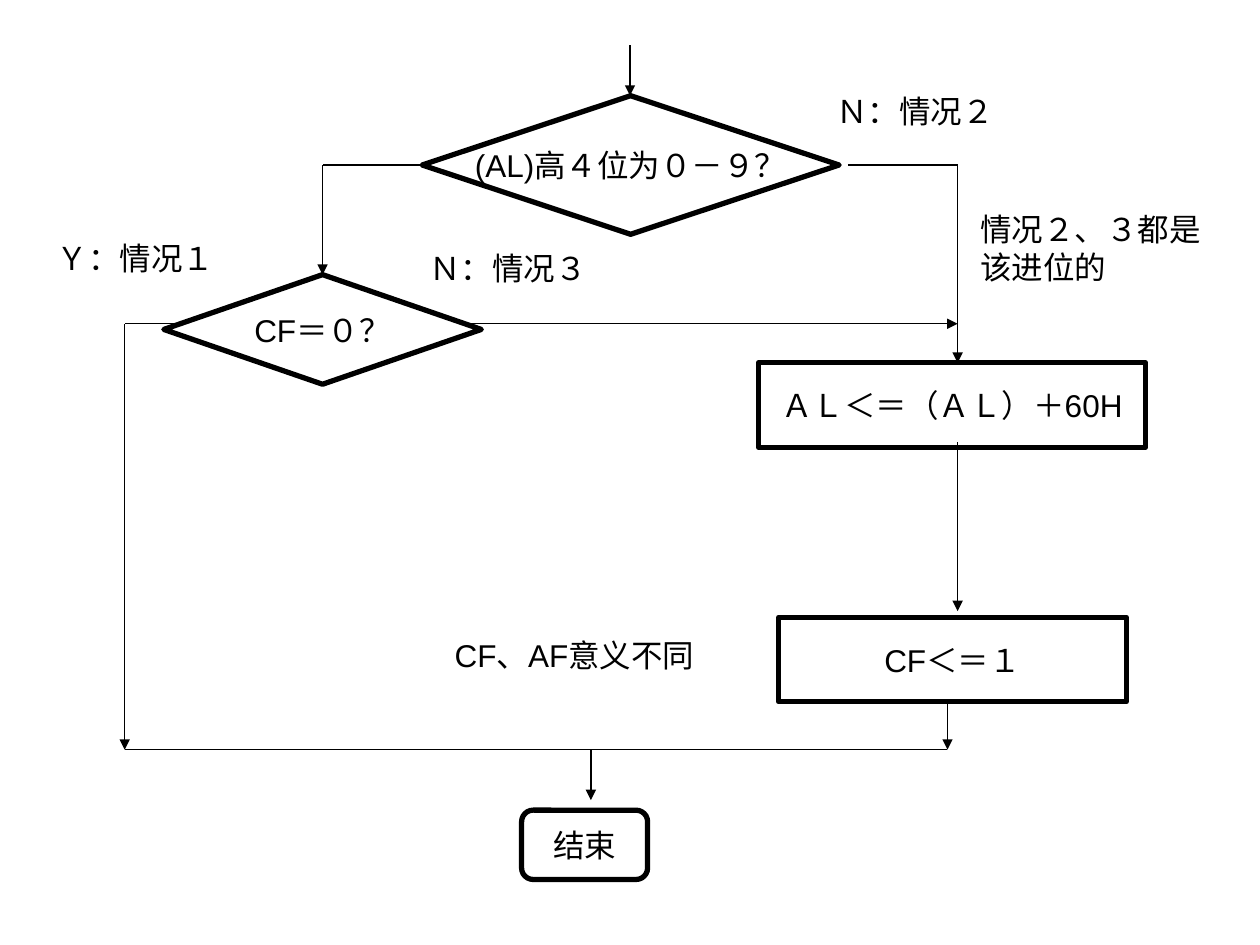
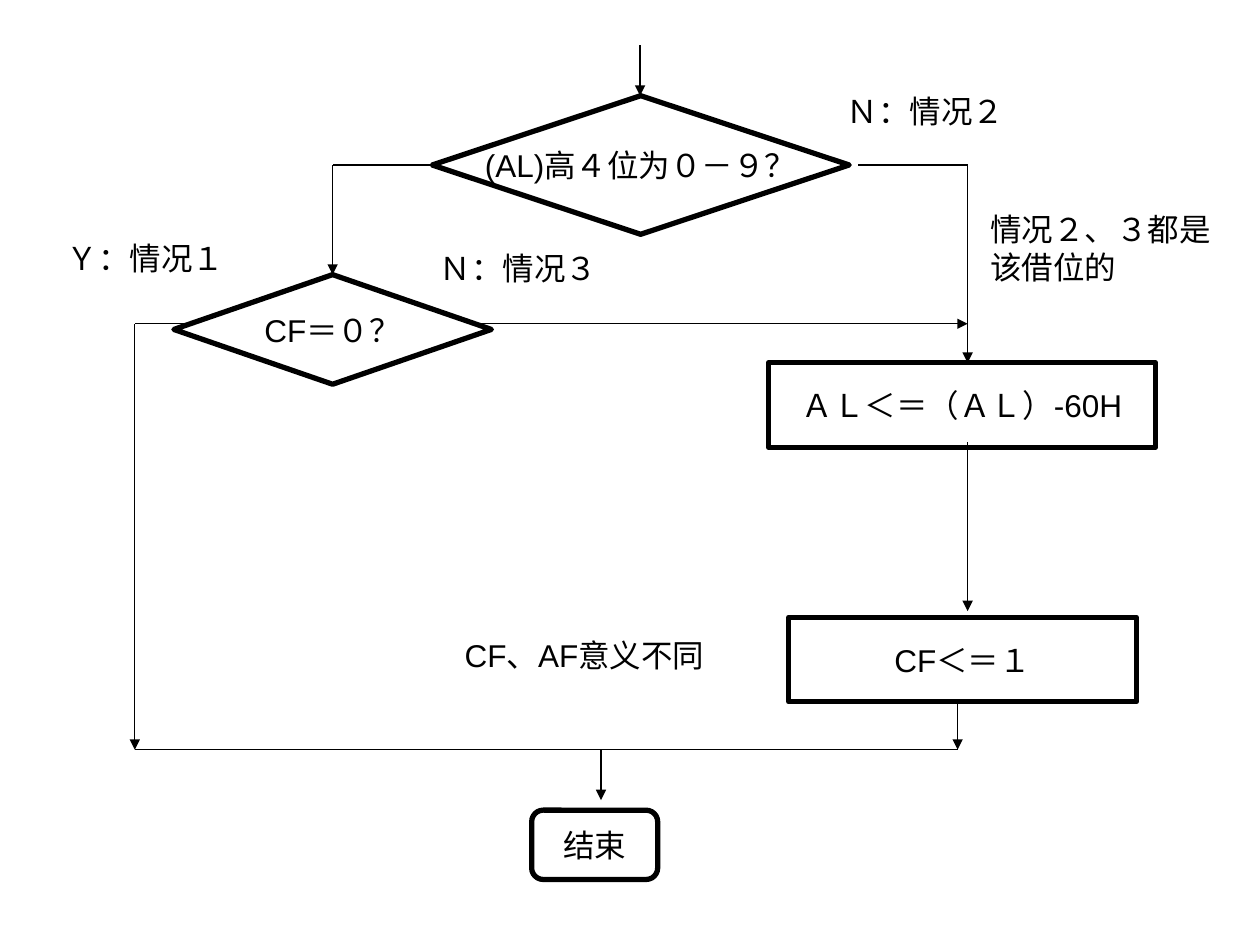
"""Builds two flowcharts of the decimal adjustment of the high digit: addition and subtraction."""
from lxml import etree
from pptx import Presentation
from pptx import util as u
from pptx.dml.color import RGBColor
from pptx.enum import shapes, text
from pptx.oxml import ns

BLACK = RGBColor(0, 0, 0)
WHITE = RGBColor(255, 255, 255)
DECISION = shapes.MSO_SHAPE.FLOWCHART_DECISION
PROCESS = shapes.MSO_SHAPE.FLOWCHART_PROCESS
TERMINAL = shapes.MSO_SHAPE.FLOWCHART_ALTERNATE_PROCESS


class Flowchart:
    """Holds the style, the current slide and its horizontal shift."""

    font = "Arial"
    size = u.Pt(18)
    thick = u.Pt(3)
    thin = u.Pt(0.75)

    def __init__(self, deck):
        self.deck = deck

    def start(self, shift):
        """Opens a blank slide whose elements move right by shift inches."""
        self.page = self.deck.slides.add_slide(self.deck.slide_layouts[6])
        self.page.background.fill.solid()
        self.page.background.fill.fore_color.rgb = WHITE
        self.shift = shift

    def place(self, left, top, width, height):
        """Returns the shifted frame as lengths."""
        return [u.Inches(n) for n in (left + self.shift, top, width, height)]

    def add_words(self, box, lines, align, wrap=False):
        """Puts one paragraph per line into the box."""
        frame = box.text_frame
        frame.word_wrap = wrap
        for index, line in enumerate(lines):
            para = frame.add_paragraph() if index else frame.paragraphs[0]
            para.alignment = align
            span = para.add_run()
            span.text = line
            span.font.name = self.font
            span.font.size = self.size
            span.font.color.rgb = BLACK

    def node(self, kind, left, top, width, height, words):
        """Draws an outlined step with centred text."""
        box = self.page.shapes.add_shape(kind, *self.place(left, top, width, height))
        box.shadow.inherit = False
        box.fill.background()
        box.line.color.rgb = BLACK
        box.line.width = self.thick
        box.text_frame.vertical_anchor = text.MSO_ANCHOR.MIDDLE
        self.add_words(box, [words], text.PP_ALIGN.CENTER)

    def label(self, left, top, width, *lines, wrap=False):
        """Adds a free note beside the chart."""
        height = 0.1 + 0.3 * len(lines)
        box = self.page.shapes.add_textbox(*self.place(left, top, width, height))
        box.text_frame.auto_size = text.MSO_AUTO_SIZE.SHAPE_TO_FIT_TEXT
        self.add_words(box, lines, text.PP_ALIGN.LEFT, wrap)

    def line(self, start, end, arrow=False):
        """Draws one straight segment, with an arrowhead at its end if asked."""
        (x1, y1), (x2, y2) = start, end
        link = self.page.shapes.add_connector(
            shapes.MSO_CONNECTOR.STRAIGHT,
            u.Inches(x1 + self.shift), u.Inches(y1),
            u.Inches(x2 + self.shift), u.Inches(y2))
        link.line.color.rgb = BLACK
        link.line.width = self.thin
        properties = link.element.spPr
        if arrow:
            outline = properties.find(ns.qn("a:ln"))
            etree.SubElement(outline, ns.qn("a:tailEnd"), type="triangle")
        etree.SubElement(properties, ns.qn("a:effectLst"))

    def route(self, *points):
        """Joins the points and ends in an arrowhead."""
        for start, end in zip(points, points[1:]):
            self.line(start, end, arrow=end == points[-1])


def draw(chart, shift, operation, outcome):
    """Draws the whole adjustment chart on a new slide."""
    chart.start(shift)
    left, right, case, exit_x, middle = 0.99, 7.6, 2.56, 7.52, 4.69
    test, carry, join = 1.31, 2.57, 5.95

    chart.node(TERMINAL, 4.14, 6.43, 1, 0.55, "结束")
    chart.label(0.35, 1.85, 1.45, "Ｙ：情况１")
    chart.label(6.54, 0.68, 1.45, "Ｎ：情况２")
    chart.label(7.68, 1.62, 1.95, "情况２、３都是", outcome)
    chart.label(3.31, 1.93, 1.45, "Ｎ：情况３")

    chart.route((5, 0.36), (5, 0.76))
    chart.node(DECISION, 3.35, 0.76, 3.31, 1.1, "(AL)高４位为０－９？")
    chart.route((3.35, test), (case, test), (case, 2.18))
    chart.node(DECISION, 1.3, 2.18, 2.52, 0.87, "CF＝０？")
    chart.route((6.73, test), (right, test), (right, 2.88))
    chart.route((3.74, carry), (right, carry))
    chart.node(PROCESS, 6.02, 2.88, 3.07, 0.67, operation)
    chart.route((right, 3.51), (right, 4.85))
    chart.node(PROCESS, 6.18, 4.9, 2.76, 0.67, "CF＜＝１")
    chart.route((1.38, carry), (left, carry), (left, join))
    chart.route((exit_x, 5.56), (exit_x, join))
    chart.line((exit_x, join), (left, join))
    chart.route((middle, join), (middle, 6.35))
    chart.label(3.51, 5, 2.1, "CF、AF意义不同", wrap=True)


deck = Presentation()
deck.slide_width = u.Inches(10)
deck.slide_height = u.Inches(7.5)
chart = Flowchart(deck)
draw(chart, 0, "ＡＬ＜＝（ＡＬ）＋60H", "该进位的")
draw(chart, 0.08, "ＡＬ＜＝（ＡＬ）-60H", "该借位的")
deck.save("out.pptx")
